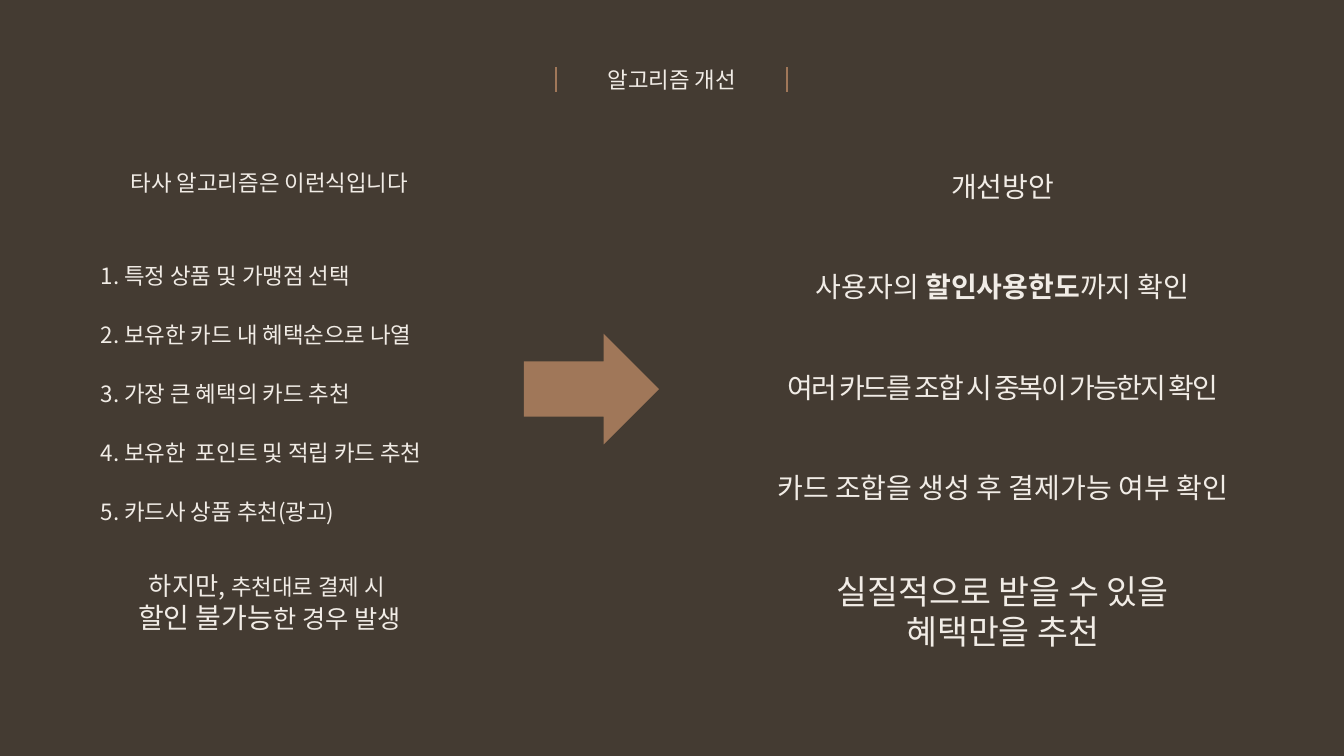
from lxml import etree
from pptx import Presentation
from pptx.dml.color import RGBColor
from pptx.enum.shapes import MSO_CONNECTOR, MSO_SHAPE
from pptx.enum.text import MSO_AUTO_SIZE, PP_ALIGN
from pptx.oxml.ns import qn
from pptx.util import Cm, Pt

BROWN = RGBColor(0x44, 0x3B, 0x32)
CREAM = RGBColor(0xF1, 0xEC, 0xE6)
COPPER = RGBColor(0xA0, 0x77, 0x59)
LEFT, CENTER = PP_ALIGN.LEFT, PP_ALIGN.CENTER
STRAIGHT = MSO_CONNECTOR.STRAIGHT
RIGHT_ARROW = MSO_SHAPE.RIGHT_ARROW
FIT_SHAPE = MSO_AUTO_SIZE.SHAPE_TO_FIT_TEXT
KOREAN, LATIN = "Noto Sans CJK KR", "Noto Sans"


class SlideBuilder:
    def __init__(self, slide):
        self.slide = slide
        fill = slide.background.fill
        fill.solid()
        fill.fore_color.rgb = BROWN

    def text(self, x, y, w, h, lines, align=CENTER, font=KOREAN, wrap=True, spacing=None):
        tf = self.slide.shapes.add_textbox(Cm(x), Cm(y), Cm(w), Cm(h)).text_frame
        tf.word_wrap = wrap
        tf.auto_size = FIT_SHAPE
        for i, line in enumerate(lines):
            p = tf.add_paragraph() if i else tf.paragraphs[0]
            p.alignment = align
            for words, size, bold in line:
                r = p.add_run()
                r.text = words
                r.font.size = Pt(size)
                r.font.bold = bold
                r.font.name = font
                r.font.color.rgb = CREAM
                rpr = r.font._element
                etree.SubElement(rpr, qn("a:ea")).set("typeface", KOREAN)
                if spacing is not None:
                    rpr.set("spc", str(round(spacing * 100)))

    def divider(self, x, y, length):
        line = self.slide.shapes.add_connector(STRAIGHT, Cm(x), Cm(y), Cm(x), Cm(y + length))
        line.line.color.rgb = COPPER
        line.line.width = Pt(1.25)
        etree.SubElement(line._element.spPr, qn("a:effectLst"))

    def arrow(self, x, y, w, h):
        sp = self.slide.shapes.add_shape(RIGHT_ARROW, Cm(x), Cm(y), Cm(w), Cm(h))
        sp.shadow.inherit = False
        sp.fill.solid()
        sp.fill.fore_color.rgb = COPPER
        sp.line.fill.background()


def main():
    prs = Presentation()
    prs.slide_width, prs.slide_height = Cm(33.87), Cm(19.05)
    s = SlideBuilder(prs.slides.add_slide(prs.slide_layouts[6]))

    s.text(14.9, 1.55, 4.06, 0.94, [[("알고리즘 개선", 16, False)]], font=LATIN, wrap=False)
    for x in (14.02, 19.84):
        s.divider(x, 1.7, 0.61)

    s.text(1.8, 4.14, 9.98, 0.94, [[("타사 알고리즘은 이런식입니다", 16, False)]])
    steps = [
        ("1. 특정 상품 및 가맹점 선택", 9.98),
        ("2. 보유한 카드 내 혜택순으로 나열", 9.98),
        ("3. 가장 큰 혜택의 카드 추천", 9.98),
        ("4. 보유한  포인트 및 적립 카드 추천", 11.58),
        ("5. 카드사 상품 추천(광고)", 11.58),
    ]
    for i, (step, w) in enumerate(steps):
        s.text(2.29, 6.47 + 1.49 * i, w, 0.94, [[(step, 16, False)]], align=LEFT)
    s.text(1.8, 14.25, 9.98, 1.88, [
        [("하지만, ", 18, False), ("추천대로 결제 시 ", 16, False)],
        [("할인 불가능", 20, False), ("한 경우 발생", 18, False)],
    ])

    s.arrow(13.2, 8.41, 3.41, 2.79)

    improvements = [
        (10.87, 1.12, None, [[("개선방안", 20, False)]]),
        (10.87, 1.12, None, [[("사용자의 ", 20, False), ("할인사용한도", 20, True),
                              ("까지 확인", 20, False)]]),
        (12.6, 1.12, -1.5, [[("여러 카드를 조합 시 중복이 가능한지 확인", 20, False)]]),
        (12.6, 1.12, None, [[("카드 조합을 생성 후 결제가능 여부 확인", 20, False)]]),
        (10.87, 2.31, None, [[("실질적으로 받을 수 있을", 24, False)],
                             [("혜택만을 추천", 24, False)]]),
    ]
    for i, (w, h, spacing, lines) in enumerate(improvements):
        s.text(25.27 - w / 2, 4.14 + 2.53 * i, w, h, lines, spacing=spacing)

    prs.save("out.pptx")


if __name__ == "__main__":
    main()
